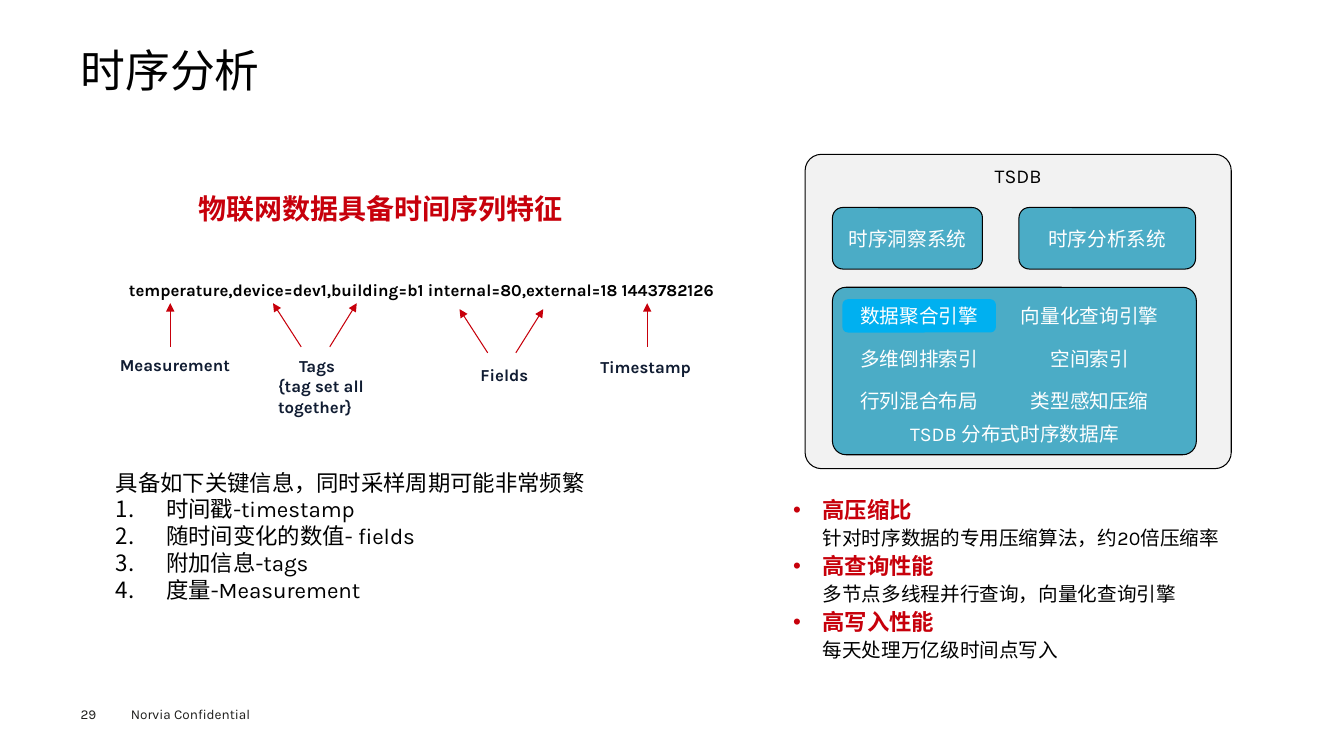
from lxml.etree import SubElement
from pptx import Presentation
from pptx.dml.color import RGBColor
from pptx.enum.shapes import MSO_CONNECTOR, MSO_SHAPE
from pptx.enum.text import MSO_ANCHOR, MSO_AUTO_SIZE, PP_ALIGN
from pptx.oxml.ns import qn
from pptx.util import Cm, Pt

RED, BLACK, WHITE = "C7000B", "000000", "FFFFFF"
NAVY, TEAL, SKY, GREY, INK = "101C32", "4BACC6", "00B0F0", "F2F2F2", "1D1D1B"


def color(hex_code):
    return RGBColor.from_string(hex_code)


class SlideBuilder:
    font = "Karla"

    def __init__(self, slide):
        self.slide = slide

    def place(self, shape, left, top, width, height):
        shape.left, shape.top = Cm(left), Cm(top)
        shape.width, shape.height = Cm(width), Cm(height)

    def frame(self, shape, text, inset=True, anchor=MSO_ANCHOR.TOP):
        frame = shape.text_frame
        frame.text = text
        frame.word_wrap = True
        frame.auto_size = MSO_AUTO_SIZE.NONE
        frame.vertical_anchor = anchor
        frame.margin_left = frame.margin_right = Cm(0.25 if inset else 0)
        frame.margin_top = frame.margin_bottom = Cm(0.13 if inset else 0)
        return frame.paragraphs

    def style(self, para, size, hex_code, bold=False, align=PP_ALIGN.LEFT, before=0):
        para.alignment = align
        para.space_before = Pt(before)
        for span in para.runs:
            span.font.name = self.font
            span.font.size = Pt(size)
            span.font.bold = bold
            span.font.color.rgb = color(hex_code)

    def marker(self, para, tag, margin=0.0, indent=0.0, **attributes):
        """Set indents in cm and the bullet element: buNone, buChar or buAutoNum."""
        properties = para._p.get_or_add_pPr()
        properties.set("marL", str(Cm(margin)))
        properties.set("indent", str(Cm(indent)))
        SubElement(properties, qn(f"a:{tag}"), **attributes)

    def title(self, text, *area):
        title = self.slide.shapes.title
        self.place(title, *area)
        para = self.frame(title, text, inset=False)[0]
        self.style(para, 32, BLACK)
        para.line_spacing = 0.9

    def text(self, text, *area, size=12, hex_code=NAVY, bold=True, inset=True,
             align=PP_ALIGN.LEFT):
        box = self.slide.shapes.add_textbox(*map(Cm, area))
        paras = self.frame(box, text, inset)
        for para in paras:
            self.style(para, size, hex_code, bold, align)
        return paras

    def numbered_list(self, body, intro, items, *area):
        self.place(body, *area)
        paras = self.frame(body, "\n".join([intro, *items]), inset=False)
        for index, para in enumerate(paras):
            self.style(para, 16, BLACK)
            if index == 0:
                self.marker(para, "buNone")
            else:
                self.marker(para, "buAutoNum", 1.27, -1.27, type="arabicPeriod")

    def benefit_list(self, body, benefits, *area):
        self.place(body, *area)
        lines = [line for benefit in benefits for line in benefit]
        for index, para in enumerate(self.frame(body, "\n".join(lines))):
            if index % 2 == 0:
                self.style(para, 16, RED, bold=True, before=2)
                self.marker(para, "buChar", 0.74, -0.74, char="•")
            else:
                para.level = 1
                self.style(para, 14, BLACK, before=2)
                self.marker(para, "buNone", 0.74)

    def block(self, text, *area, fill=TEAL, hex_code=WHITE, outline=True,
              corner=0.167, anchor=MSO_ANCHOR.MIDDLE):
        block = self.slide.shapes.add_shape(MSO_SHAPE.ROUNDED_RECTANGLE, *map(Cm, area))
        block.shadow.inherit = False
        block.adjustments[0] = corner
        block.fill.solid()
        block.fill.fore_color.rgb = color(fill)
        if outline:
            block.line.color.rgb = color(BLACK)
            block.line.width = Pt(0.75)
        else:
            block.line.fill.background()
        para = self.frame(block, text, anchor=anchor)[0]
        self.style(para, 14, hex_code, align=PP_ALIGN.CENTER)

    def arrow(self, *ends):
        arrow = self.slide.shapes.add_connector(MSO_CONNECTOR.STRAIGHT, *map(Cm, ends))
        arrow.line.color.rgb = color(RED)
        arrow.line.width = Pt(0.75)
        SubElement(arrow.line._ln, qn("a:tailEnd"), type="triangle")
        SubElement(arrow._element.spPr, qn("a:effectLst"))


def main():
    deck = Presentation()
    deck.slide_width, deck.slide_height = Cm(33.87), Cm(19.05)
    page = deck.slides.add_slide(deck.slide_layouts[3])
    facts, benefits = page.placeholders[1], page.placeholders[2]
    builder = SlideBuilder(page)

    builder.title("时序分析", 2.03, 1.24, 29.8, 1.35)
    builder.text("Norvia Confidential", 3.05, 17.65, 4.06, 0.69,
                 size=9.7, hex_code=INK, bold=False)
    builder.text("29", 2.03, 17.78, 1.4, 0.41,
                 size=9.7, hex_code=INK, bold=False, inset=False)

    # Database architecture
    builder.block("TSDB", 20.29, 3.89, 10.74, 7.92, fill=GREY, hex_code=BLACK,
                  corner=0.052, anchor=MSO_ANCHOR.TOP)
    builder.block("TSDB 分布式时序数据库", 20.98, 7.24, 9.17, 4.22,
                  corner=0.081, anchor=MSO_ANCHOR.BOTTOM)
    builder.block("时序洞察系统", 20.98, 5.23, 3.78, 1.55)
    builder.block("时序分析系统", 25.68, 5.23, 4.45, 1.55)
    engines = [("数据聚合引擎", "向量化查询引擎"),
               ("多维倒排索引", "空间索引"),
               ("行列混合布局", "类型感知压缩")]
    columns = [(21.23, 3.87), (25.37, 4.19)]
    for row, names in enumerate(engines):
        for name, (left, width) in zip(names, columns):
            builder.block(name, left, 7.54 + 1.07 * row, width, 0.84, outline=False,
                          fill=SKY if name == "数据聚合引擎" else TEAL)

    builder.benefit_list(benefits, [
        ("高压缩比", "针对时序数据的专用压缩算法，约20倍压缩率"),
        ("高查询性能", "多节点多线程并行查询，向量化查询引擎"),
        ("高写入性能", "每天处理万亿级时间点写入"),
    ], 19.74, 12.37, 12.6, 4.47)

    # Data point and its parts
    builder.text("物联网数据具备时间序列特征", 2.21, 4.83, 14.76, 0.86,
                 size=20, hex_code=RED, inset=False, align=PP_ALIGN.CENTER)
    builder.numbered_list(facts, "具备如下关键信息，同时采样周期可能非常频繁", [
        "时间戳-timestamp", "随时间变化的数值- fields", "附加信息-tags", "度量-Measurement",
    ], 2.92, 11.81, 16.21, 3.51)
    builder.text("temperature,device=dev1,building=b1 internal=80,external=18 1443782126",
                 3, 6.91, 15.49, 2.41, hex_code=BLACK)
    for start, end, bottom in [(4.29, 4.29, 8.74), (7.59, 6.88, 8.74),
                               (8.31, 8.99, 8.74), (12.29, 11.58, 8.89),
                               (13, 13.69, 8.89), (16.31, 16.31, 8.74)]:
        builder.arrow(start, bottom, end, bottom - 1.1)
    builder.text("Measurement", 2.77, 8.81, 3.38, 0.99)
    tags = builder.text("Tags\n{tag set all together}", 6.76, 8.84, 3.05, 0.94)
    builder.marker(tags[0], "buNone", indent=0.53)
    builder.text("Fields", 11.86, 9.07, 3, 0.99)
    builder.text("Timestamp", 14.88, 8.86, 3, 0.99)

    deck.save("out.pptx")


if __name__ == "__main__":
    main()
